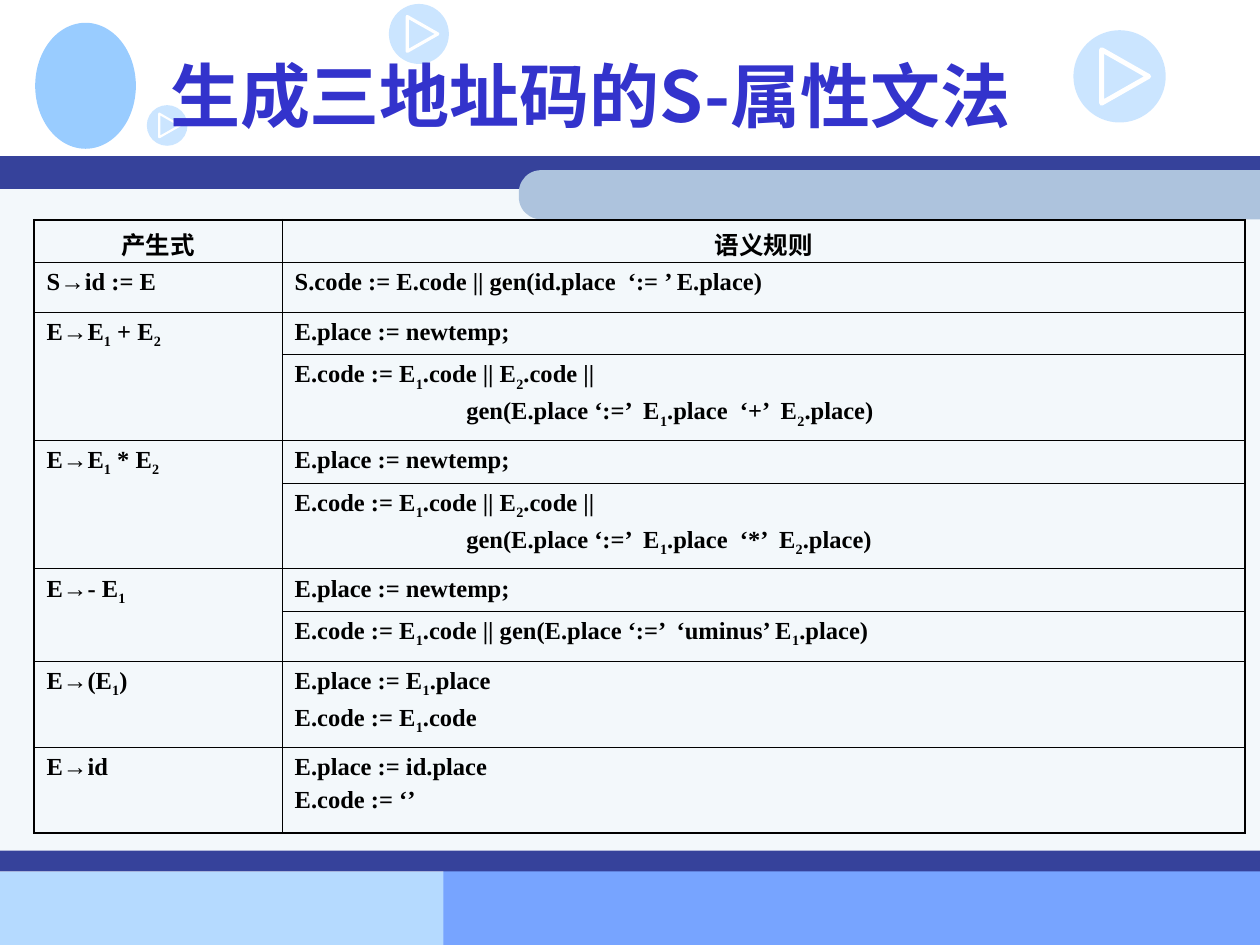
from pptx import Presentation
from pptx import util as u
from pptx.dml.color import RGBColor
from pptx.enum import shapes, text
from pptx.oxml import ns
from lxml import etree

WIDTH, HEIGHT = 25.4, 19.05
KIND = shapes.MSO_SHAPE
LATIN, HAN = "Times New Roman", "Noto Sans CJK SC"
THICK, THIN = 1.08, 0.45
INDENT = 3.46

ROWS = [
    (0.84, "产生式", ["语义规则"]),
    (1.01, "S→id := E", ["S.code := E.code || gen(id.place  ‘:= ’ E.place)"]),
    (0.85, "E→E_1 + E_2", ["E.place := newtemp;"]),
    (1.72, None, ["E.code := E_1.code || E_2.code ||",
                  "gen(E.place ‘:=’  E_1.place  ‘+’  E_2.place)"]),
    (0.85, "E→E_1 * E_2", ["E.place := newtemp;"]),
    (1.72, None, ["E.code := E_1.code || E_2.code ||",
                  "gen(E.place ‘:=’  E_1.place  ‘*’  E_2.place)"]),
    (0.85, "E→- E_1", ["E.place := newtemp;"]),
    (1.01, None, ["E.code := E_1.code || gen(E.place ‘:=’  ‘uminus’ E_1.place)"]),
    (1.73, "E→(E_1)", ["E.place := E_1.place", "E.code := E_1.code"]),
    (1.73, "E→id", ["E.place := id.place", "E.code := ‘’"]),
]


def color(value):
    return RGBColor.from_string(value)


def add_child(parent, tag, **attributes):
    return etree.SubElement(parent, ns.qn(tag), **attributes)


def add_block(page, kind, left, top, width, height, fill, alpha=None):
    block = page.shapes.add_shape(kind, u.Cm(left), u.Cm(top), u.Cm(width), u.Cm(height))
    block.shadow.inherit = False
    block.fill.solid()
    block.fill.fore_color.rgb = color(fill)
    block.line.fill.background()
    if alpha:
        shade = block._element.spPr.find(".//" + ns.qn("a:srgbClr"))
        add_child(shade, "a:alpha", val=str(alpha * 1000))
    return block


def add_play_button(page, left, top, size):
    add_block(page, KIND.OVAL, left, top, size, size, "99CCFF", alpha=50)
    width, height = size * 0.58, size * 0.51
    middle_x, middle_y = left + size * 0.56, top + size / 2
    triangle = add_block(page, KIND.ISOSCELES_TRIANGLE, middle_x - width / 2,
                         middle_y - height / 2, width, height, "FFFFFF")
    triangle.rotation = 90
    triangle.fill.background()
    triangle.line.color.rgb = color("FFFFFF")
    triangle.line.width = u.Pt(round(size * 1.5, 2))
    add_child(triangle.line._get_or_add_ln(), "a:round")


def write(para, content, size, font=LATIN, fill="000000", align=None, before=0, indent=0):
    para.alignment = align
    para.space_before = u.Pt(before)
    if indent:
        para._p.get_or_add_pPr().set("marL", str(u.Cm(indent)))
        para._p.get_or_add_pPr().set("indent", "0")
    first, *rest = content.split("_")
    pieces = [(first, False)]
    for part in rest:
        pieces += [(part[0], True), (part[1:], False)]
    for piece, lowered in pieces:
        if not piece:
            continue
        span = para.add_run()
        span.text = piece
        span.font.size = u.Pt(size)
        span.font.bold = True
        span.font.name = font
        span.font.color.rgb = color(fill)
        properties = span._r.get_or_add_rPr()
        add_child(properties, "a:ea", typeface=HAN)
        if lowered:
            properties.set("baseline", "-25000")


def add_title(page, content):
    box = page.shapes.add_textbox(u.Cm(3.18), u.Cm(0.43), u.Cm(21.59), u.Cm(2.97))
    box.text_frame.word_wrap = True
    box.text_frame.vertical_anchor = text.MSO_ANCHOR.MIDDLE
    write(box.text_frame.paragraphs[0], content, 40, font=HAN, fill="3333CC")


def set_borders(cell, **widths):
    properties = cell._tc.get_or_add_tcPr()
    for side, width in widths.items():
        line = add_child(properties, f"a:ln{side}", w=str(u.Pt(width)))
        add_child(add_child(line, "a:solidFill"), "a:srgbClr", val="000000")
    cell.fill.background()


def fill_cell(cell, lines, align):
    cell.margin_left = cell.margin_right = u.Cm(0.25)
    cell.margin_top = cell.margin_bottom = u.Cm(0.13)
    for number, content in enumerate(lines):
        frame = cell.text_frame
        para = frame.add_paragraph() if number else frame.paragraphs[0]
        indent = INDENT if content.startswith("gen(") else 0
        write(para, content, 14, align=align, before=3.5, indent=indent)


def add_rules_table(page):
    height = sum(row[0] for row in ROWS)
    table = page.shapes.add_table(len(ROWS), 2, u.Cm(0.69), u.Cm(4.43),
                                  u.Cm(24.41), u.Cm(height)).table
    table.first_row = table.horz_banding = False
    table.columns[0].width, table.columns[1].width = u.Cm(5), u.Cm(19.41)
    last = len(ROWS) - 1
    for index, (height, production, rules) in enumerate(ROWS):
        table.rows[index].height = u.Cm(height)
        align = text.PP_ALIGN.LEFT if index else text.PP_ALIGN.CENTER
        for column, lines in enumerate(([production], rules)):
            cell = table.cell(index, column)
            set_borders(cell, L=THIN if column else THICK, R=THICK if column else THIN,
                        T=THIN if index else THICK, B=THICK if index == last else THIN)
            if lines != [None]:
                fill_cell(cell, lines, align)
        if production is None:
            table.cell(index - 1, 0).merge(table.cell(index, 0))


def add_background(page):
    add_block(page, KIND.RECTANGLE, 0, 17.57, 10.8, 1.48, "B5DAFF")
    add_block(page, KIND.RECTANGLE, 8.94, 17.55, 16.46, 1.5, "77A4FF")
    add_block(page, KIND.RECTANGLE, 0, 3.56, WIDTH, 13.99, "F3F8FB")
    add_block(page, KIND.RECTANGLE, 0, 3.15, WIDTH, 0.66, "36429B")
    left, top, thickness = 10.46, 3.43, 0.99
    length = WIDTH - left
    band = add_block(page, KIND.ROUND_2_SAME_RECTANGLE, left + (length - thickness) / 2,
                     top + (thickness - length) / 2, thickness, length, "ADC3DD")
    band.rotation = 270
    band.adjustments[0] = 0.45
    add_block(page, KIND.OVAL, 0.71, 0.46, 2.03, 2.54, "99CCFF")
    add_play_button(page, 7.84, 0.08, 1.21)
    add_play_button(page, 21.64, 0.61, 1.86)
    add_block(page, KIND.RECTANGLE, 0, 17.15, WIDTH, 0.42, "36429B")
    add_play_button(page, 2.96, 2.12, 0.82)


def main():
    deck = Presentation()
    deck.slide_width, deck.slide_height = u.Cm(WIDTH), u.Cm(HEIGHT)
    page = deck.slides.add_slide(deck.slide_layouts[6])
    add_background(page)
    add_title(page, "生成三地址码的S-属性文法")
    add_rules_table(page)
    deck.save("out.pptx")


if __name__ == "__main__":
    main()
